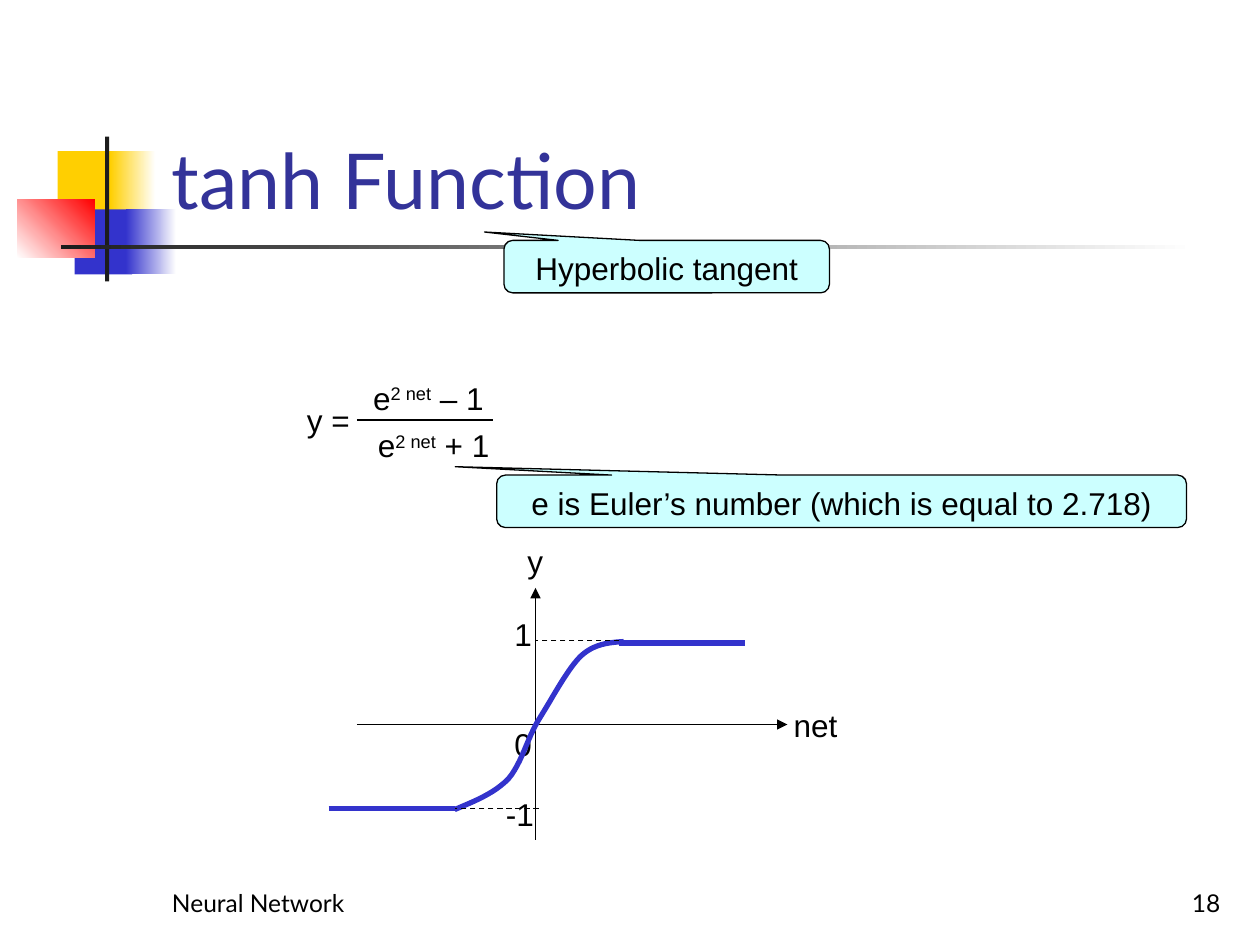
from lxml.etree import SubElement
from pptx import Presentation
from pptx.dml.color import RGBColor
from pptx.enum.dml import MSO_LINE
from pptx.enum.shapes import MSO_CONNECTOR, MSO_SHAPE
from pptx.enum.text import MSO_ANCHOR as Anchor, MSO_AUTO_SIZE as AutoSize, PP_ALIGN as Align
from pptx.oxml.ns import qn
from pptx.util import Inches, Pt

BLACK = RGBColor(0x00, 0x00, 0x00)
WHITE = RGBColor(0xFF, 0xFF, 0xFF)
CHARCOAL = RGBColor(0x1C, 0x1C, 0x1C)
YELLOW = RGBColor(0xFF, 0xCF, 0x01)
RED = RGBColor(0xFF, 0x00, 0x00)
BLUE = RGBColor(0x33, 0x33, 0xCC)
NAVY = RGBColor(0x33, 0x33, 0x99)
PALE_CYAN = RGBColor(0xCC, 0xFF, 0xFF)

COLUMNS, ROWS = 120, 90
SLIDE_WIDTH, SLIDE_HEIGHT = Inches(10), Inches(7.5)

ORIGIN_X, ORIGIN_Y = 51, 69
UNIT = 8
TOP_LEVEL, BOTTOM_LEVEL = ORIGIN_Y - UNIT, ORIGIN_Y + UNIT
CURVE_START = (43.3, 77.1)
CURVE_PIECES = [
    ((45.2, 76.3), (47, 75.6), (48.4, 74.2)),
    ((49.7, 72.7), (50.2, 70.3), (51.4, 68.4)),
    ((52.6, 66.5), (54, 63.8), (55.3, 62.5)),
    ((56.6, 61.3), (58, 61.2), (59.4, 61.1)),
]


def across(columns):
    return round(SLIDE_WIDTH * columns / COLUMNS)


def down(rows):
    return round(SLIDE_HEIGHT * rows / ROWS)


def place(left, top, width, height):
    return across(left), down(top), across(width), down(height)


def add_block(slide, area, start, end=None, angle=0):
    block = slide.shapes.add_shape(MSO_SHAPE.RECTANGLE, *place(*area))
    block.shadow.inherit = False
    block.line.fill.background()
    if end is None:
        block.fill.solid()
        block.fill.fore_color.rgb = start
        return
    block.fill.gradient()
    block.fill.gradient_angle = angle
    for stop, color in zip(block.fill.gradient_stops, (start, end)):
        stop.color.rgb = color


def write_run(paragraph, text, size=18, font="Arial", color=BLACK, raised=False):
    run = paragraph.add_run()
    run.text = text
    run.font.size = Pt(size)
    run.font.name = font
    run.font.color.rgb = color
    if raised:
        run._r.get_or_add_rPr().set("baseline", "30000")


def add_heading(slide, area, text, size, color=BLACK, align=Align.LEFT):
    frame = slide.shapes.add_textbox(*place(*area)).text_frame
    frame.word_wrap = True
    frame.vertical_anchor = Anchor.BOTTOM
    frame.paragraphs[0].alignment = align
    write_run(frame.paragraphs[0], text, size, "Lato", color)


def add_label(slide, left, top, width, *pieces):
    frame = slide.shapes.add_textbox(*place(left, top, width, 4.8)).text_frame
    frame.word_wrap = False
    frame.auto_size = AutoSize.SHAPE_TO_FIT_TEXT
    for index, piece in enumerate(pieces):
        write_run(frame.paragraphs[0], piece, raised=index == 1)


def add_line(slide, start, end, color=BLACK, weight=0.75, dashed=False, arrow=False):
    line = slide.shapes.add_connector(
        MSO_CONNECTOR.STRAIGHT,
        across(start[0]), down(start[1]), across(end[0]), down(end[1]),
    )
    line.line.color.rgb = color
    line.line.width = Pt(weight)
    if dashed:
        line.line.dash_style = MSO_LINE.DASH
    if arrow:
        SubElement(line.line._get_or_add_ln(), qn("a:tailEnd"), type="triangle")
    SubElement(line._element.spPr, qn("a:effectLst"))


def add_callout(slide, left, top, width, text):
    callout = slide.shapes.add_shape(
        MSO_SHAPE.ROUNDED_RECTANGULAR_CALLOUT, *place(left, top, width, 5)
    )
    callout.adjustments[0] = -0.56
    callout.adjustments[1] = -0.66
    callout.shadow.inherit = False
    callout.fill.solid()
    callout.fill.fore_color.rgb = PALE_CYAN
    callout.line.color.rgb = BLACK
    callout.line.width = Pt(0.75)
    frame = callout.text_frame
    frame.word_wrap = True
    frame.vertical_anchor = Anchor.TOP
    frame.paragraphs[0].alignment = Align.CENTER
    write_run(frame.paragraphs[0], text)


def bezier_point(corners, t):
    weights = ((1 - t) ** 3, 3 * t * (1 - t) ** 2, 3 * t ** 2 * (1 - t), t ** 3)
    return tuple(sum(w * c[axis] for w, c in zip(weights, corners)) for axis in (0, 1))


def add_curve(slide, start, pieces, steps=12):
    points = []
    knot = start
    for piece in pieces:
        points += [bezier_point((knot, *piece), i / steps) for i in range(1, steps + 1)]
        knot = piece[-1]
    builder = slide.shapes.build_freeform(across(start[0]), down(start[1]))
    builder.add_line_segments([(across(x), down(y)) for x, y in points], close=False)
    curve = builder.convert_to_shape()
    curve.shadow.inherit = False
    curve.fill.background()
    curve.line.color.rgb = BLUE
    curve.line.width = Pt(3)


def add_decoration(slide):
    add_block(slide, (5.5, 14.4, 5.8, 6.2), YELLOW)
    add_block(slide, (10.5, 14.4, 4.3, 6.2), YELLOW, WHITE)
    add_block(slide, (7.1, 19.95, 5.5, 6.2), BLUE)
    add_block(slide, (12, 19.95, 4.8, 6.2), BLUE, WHITE)
    add_block(slide, (1.65, 19, 7.4, 5.55), WHITE, RED, angle=45)
    add_block(slide, (10, 13, 0.4, 13.8), CHARCOAL)
    add_block(slide, (5.8, 23.35, 108, 0.4), CHARCOAL, WHITE)


def add_formula(slide):
    add_label(slide, 28.05, 37.65, 7.3, "y =")
    add_label(slide, 34.35, 35.5, 13, "e", "2 net", " – 1")
    add_label(slide, 34.8, 40, 13.8, "e", "2 net", " + 1")
    add_line(slide, (34, 40), (47, 40))


def add_graph(slide):
    add_line(slide, (34, ORIGIN_Y), (75, ORIGIN_Y), arrow=True)
    add_line(slide, (ORIGIN_X, 80), (ORIGIN_X, 56), arrow=True)
    add_label(slide, 47.8, 68.5, 4.1, "0")
    add_label(slide, 74.4, 66.65, 6.6, "net")
    add_label(slide, 49.05, 51, 3.8, "y")
    add_label(slide, 47.8, 58, 4.1, "1")
    add_line(slide, (31.3, BOTTOM_LEVEL), (43.3, BOTTOM_LEVEL), BLUE, 3)
    add_line(slide, (59, TOP_LEVEL + 0.25), (71, TOP_LEVEL + 0.25), BLUE, 3)
    add_curve(slide, CURVE_START, CURVE_PIECES)
    add_line(slide, (59, TOP_LEVEL), (ORIGIN_X, TOP_LEVEL), dashed=True)
    add_label(slide, 47, 75.1, 5.3, "-1")
    add_line(slide, (51.3, BOTTOM_LEVEL), (43.3, BOTTOM_LEVEL), dashed=True)


def main():
    deck = Presentation()
    deck.slide_width, deck.slide_height = SLIDE_WIDTH, SLIDE_HEIGHT
    slide = deck.slides.add_slide(deck.slide_layouts[6])
    add_decoration(slide)
    add_heading(slide, (15.2, 81.95, 25, 6), "Neural Network", 14)
    add_heading(slide, (92.4, 81.95, 25, 6), "18", 14, align=Align.RIGHT)
    add_heading(slide, (15.15, 2.8, 102.2, 19.2), "tanh Function", 44, NAVY)
    add_formula(slide)
    add_graph(slide)
    add_callout(slide, 47.3, 45.25, 65.7, "e is Euler’s number (which is equal to 2.718)")
    add_callout(slide, 48, 22.9, 31, "Hyperbolic tangent")
    deck.save("out.pptx")


if __name__ == "__main__":
    main()
